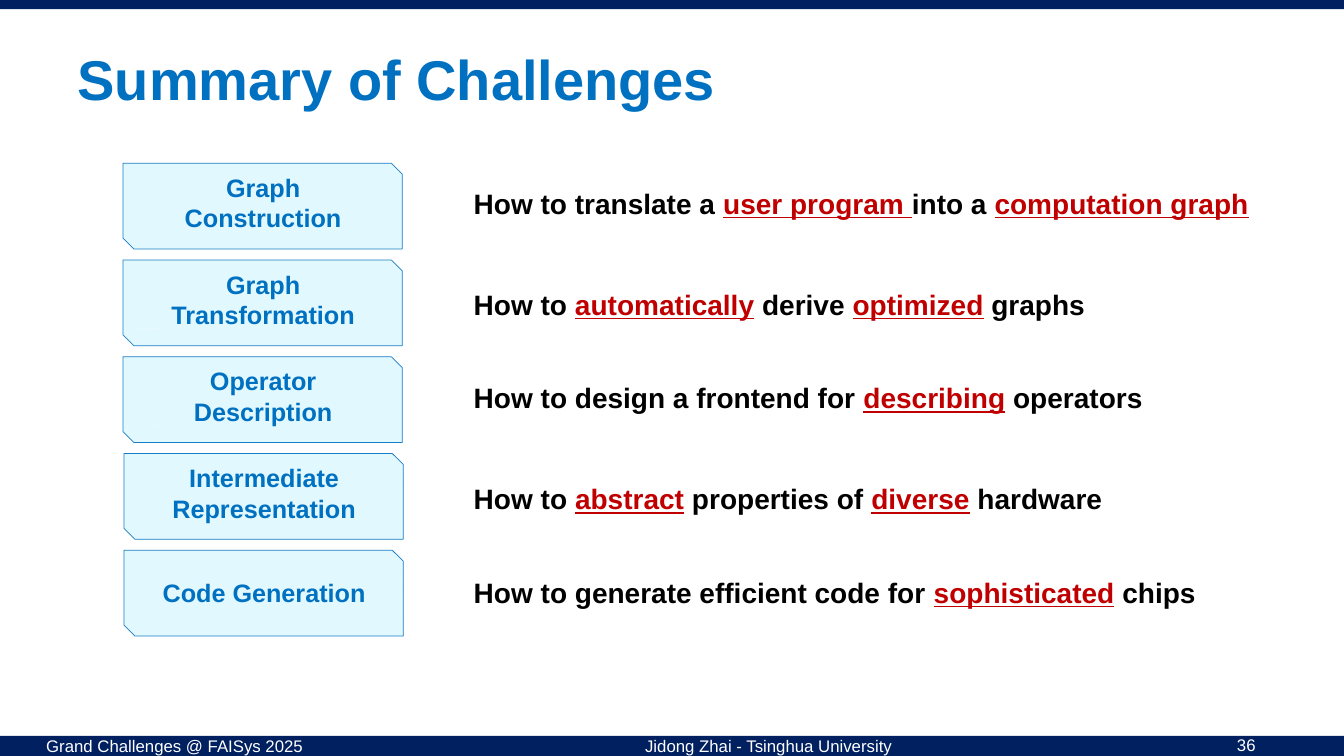
from dataclasses import dataclass

from lxml import etree
from pptx import Presentation
from pptx.dml.color import RGBColor
from pptx.enum.dml import MSO_LINE
from pptx.enum.shapes import MSO_SHAPE
from pptx.enum.text import MSO_ANCHOR, PP_ALIGN
from pptx.oxml.ns import qn
from pptx.util import Inches, Pt

RECT = MSO_SHAPE.RECTANGLE
SNIP = MSO_SHAPE.SNIP_2_DIAG_RECTANGLE
DASH = MSO_LINE.DASH
LEFT, CENTER = PP_ALIGN.LEFT, PP_ALIGN.CENTER
TOP, MIDDLE = MSO_ANCHOR.TOP, MSO_ANCHOR.MIDDLE

FONT = "Arial"
COLORS = {
    "navy": "002060",
    "blue": "0070C0",
    "pale": "D5F6FF",
    "red": "C00000",
    "black": "000000",
    "white": "FFFFFF",
}
FIRST, PITCH = 1.62, 0.96  # top of the first card, step between cards


@dataclass
class Topic:
    label: str
    lines: int
    left: float
    top: float  # top of the question
    width: float
    ask: tuple[str, ...]  # plain and marked text in turn


@dataclass
class Note:
    text: str
    left: float
    top: float
    width: float
    height: float


TOPICS = [
    Topic("Graph Construction", 2, 1.22, 1.8, 7.94,
          ("How to translate a ", "user program ", "into a ", "computation graph")),
    Topic("Graph Transformation", 2, 1.22, 2.8, 6.3,
          ("How to ", "automatically", " derive ", "optimized", " graphs")),
    Topic("Operator Description", 2, 1.22, 3.73, 6.88,
          ("How to design a frontend for ", "describing", " operators")),
    Topic("Intermediate Representation", 2, 1.23, 4.73, 6.48,
          ("How to ", "abstract", " properties of ", "diverse", " hardware")),
    Topic("Code Generation", 1, 1.23, 5.66, 7.41,
          ("How to generate efficient code for ", "sophisticated", " chips")),
]
NOTES = [
    Note("Grand Challenges @ FAISys 2025", 0.36, 7.25, 2.94, 0.3),
    Note("Jidong Zhai - Tsinghua University", 6.3, 7.25, 2.77, 0.3),
    Note("36", 12.17, 7.24, 1.17, 0.23),
]


def tint(name: str) -> RGBColor:
    return RGBColor.from_string(COLORS[name])


def fade(node, percent: int) -> None:
    """Set the opacity of the colour in a fill or line element."""
    alpha = etree.SubElement(node.find(".//" + qn("a:srgbClr")), qn("a:alpha"))
    alpha.set("val", str(percent * 1000))


def add_run(para, text: str, size: float, color: str,
            bold: bool = True, under: bool = False) -> None:
    run = para.add_run()
    run.text = text
    font = run.font
    font.name, font.size, font.bold = FONT, Pt(size), bold
    font.underline = under
    font.color.rgb = tint(color)


def add_box(shapes, left: float, top: float, width: float, height: float,
            align=LEFT, wrap: bool = True):
    """Add an empty text box and return its paragraph."""
    box = shapes.add_textbox(Inches(left), Inches(top), Inches(width), Inches(height))
    frame = box.text_frame
    frame.word_wrap = wrap
    frame.vertical_anchor = TOP
    para = frame.paragraphs[0]
    para.alignment = align
    return para


def add_bar(shapes, top: float, height: float) -> None:
    bar = shapes.add_shape(RECT, 0, Inches(top), Inches(13.33), Inches(height))
    bar.shadow.inherit = False
    bar.fill.solid()
    bar.fill.fore_color.rgb = tint("navy")
    bar.line.fill.background()


def add_snip(shapes, left: float, top: float, width: float, height: float,
             color: str, weight: float, clear: int):
    """Add an unfilled box with two cut corners."""
    snip = shapes.add_shape(SNIP, Inches(left), Inches(top), Inches(width), Inches(height))
    snip.adjustments[0], snip.adjustments[1] = 0, 0.127
    snip.shadow.inherit = False
    snip.fill.background()
    snip.line.color.rgb = tint(color)
    snip.line.width = Pt(weight)
    fade(snip.element.spPr.find(qn("a:ln")), clear)
    return snip


def add_card(shapes, topic: Topic, top: float) -> None:
    group = shapes.add_group_shape().shapes
    card = add_snip(group, topic.left, top, 2.77, 0.85, "blue", 0.5, 90)
    card.fill.solid()
    card.fill.fore_color.rgb = tint("pale")
    fade(card.element.spPr.find(qn("a:solidFill")), 70)
    inner = add_snip(group, topic.left + 0.02, top + 0.2, 2.72, 0.48, "white", 0.25, 50)
    inner.line.dash_style = DASH
    drop = 0.04 + 0.18 * (2 - topic.lines)
    para = add_box(group, topic.left + 0.12, top + drop, 2.54,
                   0.1 + 0.3 * topic.lines, CENTER)
    add_run(para, topic.label, 18, "blue")


def add_ask(shapes, topic: Topic) -> None:
    para = add_box(shapes, 4.6, topic.top, topic.width, 0.44, wrap=False)
    for i, text in enumerate(topic.ask):
        mark = i % 2 == 1
        add_run(para, text, 20, "red" if mark else "black", under=mark)


def add_title(slide, text: str) -> None:
    title = slide.shapes.title
    title.left, title.top = Inches(0.67), Inches(0.45)
    title.width, title.height = Inches(11.75), Inches(0.73)
    title.text_frame.vertical_anchor = MIDDLE
    para = title.text_frame.paragraphs[0]
    para.alignment = LEFT
    para.line_spacing = 0.9
    add_run(para, text, 40, "blue")


def main() -> None:
    deck = Presentation()
    deck.slide_width, deck.slide_height = Inches(13.33), Inches(7.5)
    slide = deck.slides.add_slide(deck.slide_layouts[5])
    shapes = slide.shapes

    # Frame: bars, footer and title
    add_bar(shapes, 7.3, 0.2)
    add_bar(shapes, -0.02, 0.11)
    for note in NOTES:
        para = add_box(shapes, note.left, note.top, note.width, note.height)
        add_run(para, note.text, 12, "white", bold=False)
    add_title(slide, "Summary of Challenges")

    # Topic cards with their questions
    for row, topic in enumerate(TOPICS):
        add_card(shapes, topic, FIRST + row * PITCH)
        add_ask(shapes, topic)

    deck.save("out.pptx")


if __name__ == "__main__":
    main()
